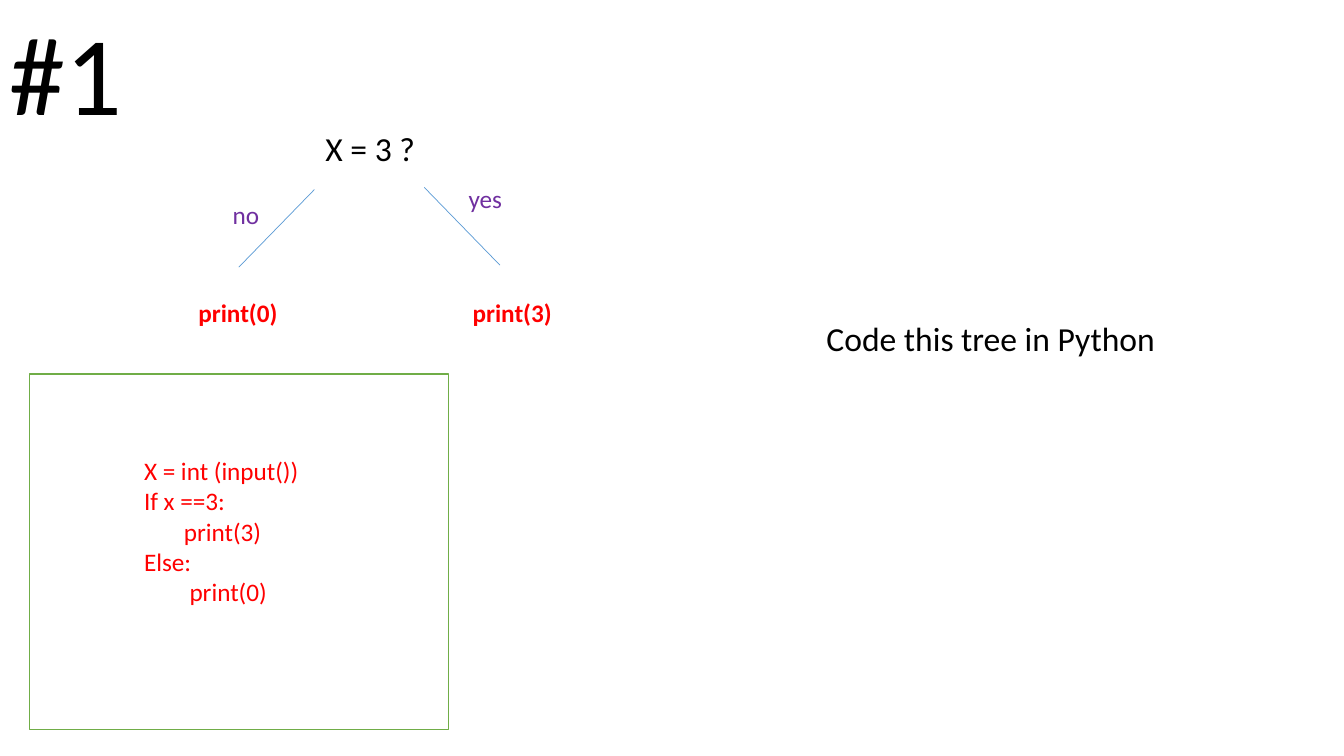
from pptx import Presentation
from pptx.dml.color import RGBColor
from pptx.enum.shapes import MSO_CONNECTOR as Connector, MSO_SHAPE as Shape
from pptx.enum.text import MSO_AUTO_SIZE as AutoSize
from pptx.oxml.ns import qn
from pptx.util import Pt
from lxml.etree import SubElement

BLACK = RGBColor(0x00, 0x00, 0x00)
WHITE = RGBColor(0xFF, 0xFF, 0xFF)
RED = RGBColor(0xFF, 0x00, 0x00)
PURPLE = RGBColor(0x70, 0x30, 0xA0)
GREEN = RGBColor(0x70, 0xAD, 0x47)
BLUE = RGBColor(0x5B, 0x9B, 0xD5)


def add_frame(page, left, top, width, height):
    frame = page.shapes.add_shape(
        Shape.RECTANGLE, Pt(left), Pt(top), Pt(width), Pt(height))
    frame.shadow.inherit = False
    frame.fill.solid()
    frame.fill.fore_color.rgb = WHITE
    frame.line.color.rgb = GREEN
    frame.line.width = Pt(1)


def add_branch(page, x1, y1, x2, y2):
    branch = page.shapes.add_connector(
        Connector.STRAIGHT, Pt(x1), Pt(y1), Pt(x2), Pt(y2))
    branch.line.color.rgb = BLUE
    branch.line.width = Pt(0.5)
    SubElement(branch._element.spPr, qn("a:effectLst"))


def add_text(page, lines, left, top, width, height, size, color,
             bold=False, wrap=False):
    box = page.shapes.add_textbox(Pt(left), Pt(top), Pt(width), Pt(height))
    frame = box.text_frame
    frame.word_wrap = wrap
    frame.auto_size = AutoSize.SHAPE_TO_FIT_TEXT
    for number, (text, indent) in enumerate(lines):
        para = frame.add_paragraph() if number else frame.paragraphs[0]
        para.text = text
        para.font.name = "Calibri"
        para.font.size = Pt(size)
        para.font.bold = bold
        para.font.color.rgb = color
        if indent:
            para._p.get_or_add_pPr().set("marL", str(Pt(indent)))


def add_label(page, text, left, top, width, height, size, color, bold=False):
    add_text(page, [(text, 0)], left, top, width, height, size, color, bold)


def main():
    deck = Presentation()
    deck.slide_width, deck.slide_height = Pt(960), Pt(540)
    page = deck.slides.add_slide(deck.slide_layouts[6])

    add_frame(page, 20.9, 267.1, 299.5, 254.2)
    add_branch(page, 224.6, 135.4, 170.6, 190.8)
    add_branch(page, 303.1, 133.9, 357.1, 189.4)

    add_label(page, "yes", 327.6, 127.4, 38.9, 29, 18, PURPLE)
    add_label(page, "no", 159.1, 139, 33.8, 29, 18, PURPLE)
    add_label(page, "X = 3 ?", 225.4, 87.8, 79.2, 36, 24, BLACK)
    add_label(page, "Code this tree in Python", 583.2, 223.2, 251.3, 36, 24, BLACK)
    for text, left in (("print(0)", 134.6), ("print(3)", 330.5)):
        add_label(page, text, left, 208.8, 71.3, 29, 18, RED, bold=True)
    add_label(page, "#1", 0, -1.4, 95.8, 104.4, 80, BLACK)

    code = [
        ("X = int (input())", 0),
        ("If x ==3:", 0),
        ("print(3)", 28.5),
        ("Else:", 0),
        ("print(0)", 32.5),
    ]
    add_text(page, code, 95.8, 321.8, 285.1, 116.6, 18, RED, wrap=True)

    deck.save("out.pptx")


if __name__ == "__main__":
    main()
